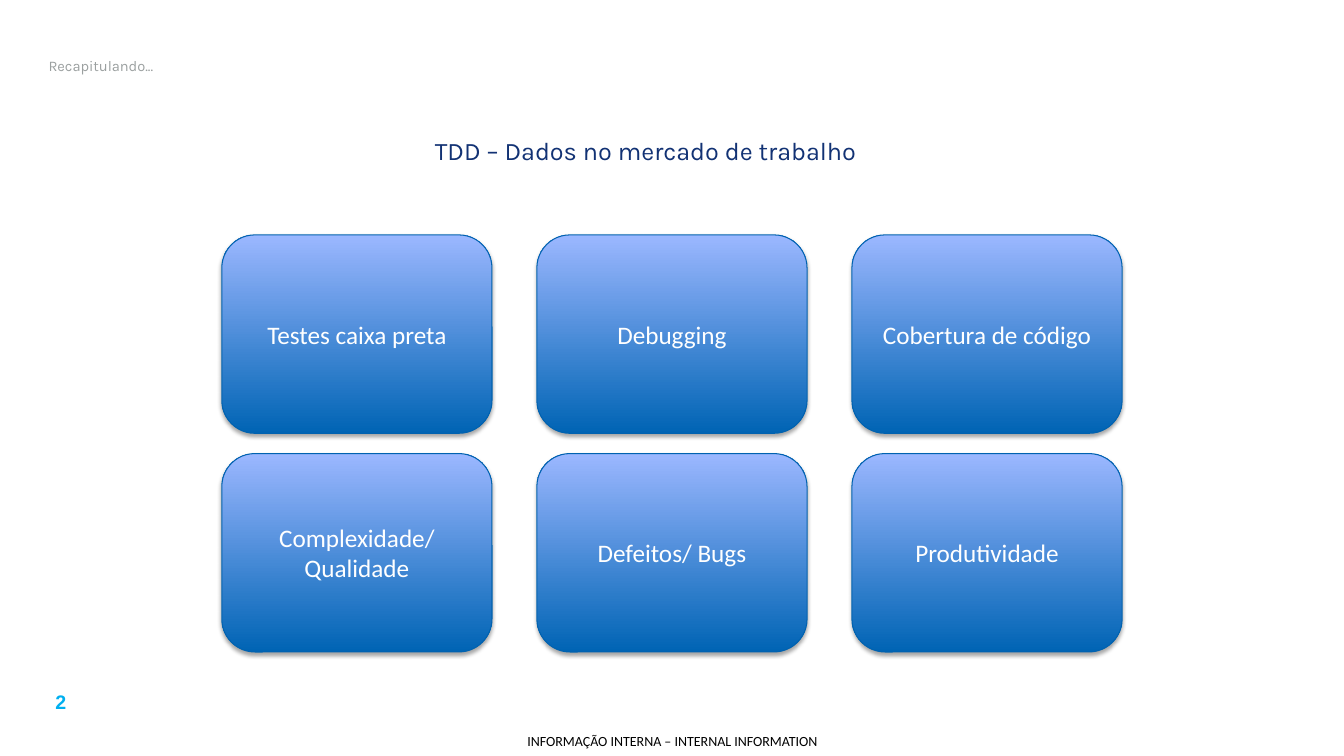
from dataclasses import dataclass

from lxml.etree import SubElement
from pptx import Presentation
from pptx.dml.color import RGBColor
from pptx.enum.shapes import MSO_SHAPE
from pptx.enum.text import MSO_ANCHOR, MSO_AUTO_SIZE, PP_ALIGN
from pptx.oxml.ns import qn
from pptx.shapes.autoshape import Shape
from pptx.slide import Slide
from pptx.util import Cm, Pt

COLUMNS = 3
CARD_LEFT, CARD_TOP = 5.59, 5.92
CARD_WIDTH, CARD_HEIGHT = 6.81, 5.0
COLUMN_STEP, ROW_STEP = 7.94, 5.51
TOPICS = [
    "Testes caixa preta", "Debugging", "Cobertura de código",
    "Complexidade/ Qualidade", "Defeitos/ Bugs", "Produtividade",
]


@dataclass
class Box:
    left: float
    top: float
    width: float
    height: float

    def lengths(self) -> tuple[Cm, Cm, Cm, Cm]:
        return Cm(self.left), Cm(self.top), Cm(self.width), Cm(self.height)


@dataclass
class Label:
    text: str
    box: Box
    size: float
    font: str
    color: str
    bold: bool = False
    anchor: MSO_ANCHOR = MSO_ANCHOR.MIDDLE
    inset: float | None = None


LABELS = [
    Label("2", Box(0.53, 17.27, 2.01, 0.86), 14, "Arial", "00B0F0",
          bold=True, anchor=MSO_ANCHOR.TOP),
    Label("INFORMAÇÃO INTERNA – INTERNAL INFORMATION",
          Box(12.78, 18.31, 8.33, 0.74), 10, "Calibri", "000000", inset=0),
    Label("TDD – Dados no mercado de trabalho",
          Box(0.94, 2.92, 30.66, 1.75), 18, "Karla", "123274"),
]


def rgb(color: str) -> RGBColor:
    return RGBColor.from_string(color)


def write(sp: Shape, text: str, *, size: float, font: str, color: str,
          bold: bool = False, align: PP_ALIGN = PP_ALIGN.CENTER,
          anchor: MSO_ANCHOR = MSO_ANCHOR.MIDDLE,
          inset: float | None = None) -> None:
    tf = sp.text_frame
    tf.word_wrap = True
    tf.auto_size = MSO_AUTO_SIZE.NONE
    tf.vertical_anchor = anchor
    if inset is not None:
        tf.margin_left = tf.margin_right = Cm(inset)
        tf.margin_top = tf.margin_bottom = Cm(inset)
    p = tf.paragraphs[0]
    p.alignment = align
    r = p.add_run()
    r.text = text
    r.font.size = Pt(size)
    r.font.name = font
    r.font.bold = bold
    r.font.color.rgb = rgb(color)


def add_label(s: Slide, label: Label) -> None:
    sp = s.shapes.add_textbox(*label.box.lengths())
    write(sp, label.text, size=label.size, font=label.font, color=label.color,
          bold=label.bold, anchor=label.anchor, inset=label.inset)


def add_soft_shadow(sp: Shape) -> None:
    sp.shadow.inherit = False
    effects = sp._element.spPr.find(qn("a:effectLst"))
    shadow = SubElement(effects, qn("a:outerShdw"), blurRad=str(Pt(3.1)),
                        dist=str(Pt(1.8)), dir="5400000", rotWithShape="0")
    color = SubElement(shadow, qn("a:srgbClr"), val="000000")
    SubElement(color, qn("a:alpha"), val="35000")


def add_card(s: Slide, text: str, box: Box) -> None:
    sp = s.shapes.add_shape(MSO_SHAPE.ROUNDED_RECTANGLE, *box.lengths())
    sp.fill.gradient()
    sp.fill.gradient_angle = 90
    for stop, position, color in zip(sp.fill.gradient_stops, (0, 1),
                                     ("0064B4", "9BB7FF")):
        stop.position = position
        stop.color.rgb = rgb(color)
    sp.line.color.rgb = rgb("0062B0")
    sp.line.width = Pt(0.75)
    add_soft_shadow(sp)
    write(sp, text, size=18, font="Calibri", color="FFFFFF")


def main() -> None:
    prs = Presentation()
    prs.slide_width, prs.slide_height = Cm(33.87), Cm(19.05)
    s = prs.slides.add_slide(prs.slide_layouts.get_by_name("Title Only"))

    title = s.shapes.title
    title.left, title.top, title.width, title.height = Box(
        0.97, 1.04, 30.18, 1.22).lengths()
    write(title, "Recapitulando...", size=10.5, font="Karla", color="9BA0A0",
          align=PP_ALIGN.LEFT)

    for label in LABELS:
        add_label(s, label)

    for i, topic in enumerate(TOPICS):
        row, column = divmod(i, COLUMNS)
        add_card(s, topic, Box(CARD_LEFT + column * COLUMN_STEP,
                               CARD_TOP + row * ROW_STEP,
                               CARD_WIDTH, CARD_HEIGHT))

    prs.save("out.pptx")


if __name__ == "__main__":
    main()
